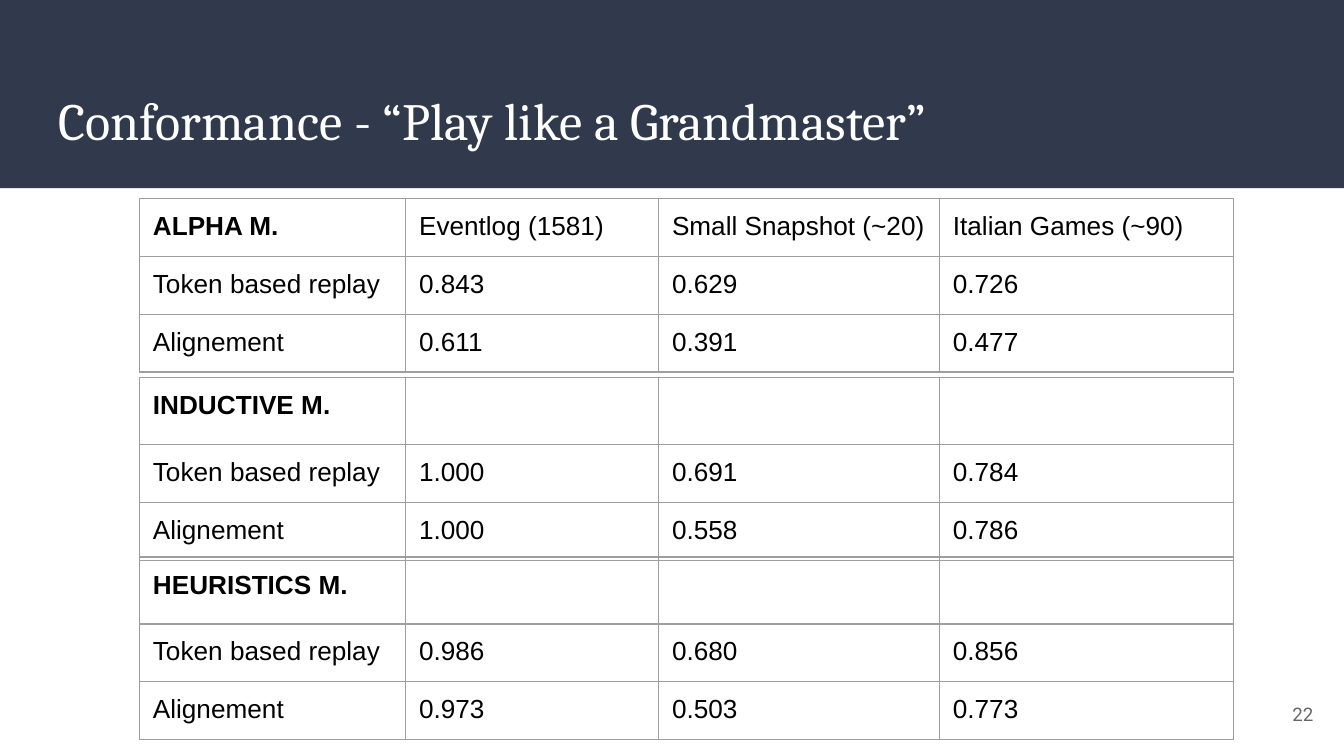
from lxml import etree
from pptx import Presentation
from pptx.dml.color import RGBColor
from pptx.enum.shapes import MSO_SHAPE
from pptx.enum.text import MSO_ANCHOR, PP_ALIGN
from pptx.oxml.ns import qn
from pptx.util import Cm, Pt

RECT = MSO_SHAPE.RECTANGLE
MIDDLE = MSO_ANCHOR.MIDDLE
LEFT, RIGHT = PP_ALIGN.LEFT, PP_ALIGN.RIGHT
TITLE_ONLY = 5

SLIDE_W, SLIDE_H = 25.4, 14.29
INSET = 0.25
COL_WIDTHS = [5.03, 4.78, 5.31, 5.56]
ROW_HEIGHT = 1.07
TABLE_LEFT, TABLE_TOP, TABLE_PITCH = 2.64, 3.75, 3.39

# Algorithm, column headings, token based replay values, alignment values
RESULTS = [
    ("ALPHA M.",
     ["Eventlog (1581)", "Small Snapshot (~20)", "Italian Games (~90)"],
     ["0.843", "0.629", "0.726"], ["0.611", "0.391", "0.477"]),
    ("INDUCTIVE M.", ["", "", ""],
     ["1.000", "0.691", "0.784"], ["1.000", "0.558", "0.786"]),
    ("HEURISTICS M.", ["", "", ""],
     ["0.986", "0.680", "0.856"], ["0.973", "0.503", "0.773"]),
]


def color(hex_string):
    return RGBColor.from_string(hex_string)


def place(sp, left, top, width, height):
    sp.left, sp.top, sp.width, sp.height = map(Cm, (left, top, width, height))


def set_margins(frame):
    """Give a text frame or a table cell the same inset on every side."""
    frame.margin_left = frame.margin_right = Cm(INSET)
    frame.margin_top = frame.margin_bottom = Cm(INSET)


def write(tf, text, font, size, hex_string, bold=False, align=LEFT):
    p = tf.paragraphs[0]
    p.text = text
    p.alignment = align
    for r in p.runs:
        r.font.name, r.font.size, r.font.bold = font, Pt(size), bold
        r.font.color.rgb = color(hex_string)


def add_header(slide, left, top, width, height, text):
    band = slide.shapes.add_shape(RECT, Cm(left), Cm(top), Cm(width), Cm(height))
    band.shadow.inherit = False
    band.fill.solid()
    band.fill.fore_color.rgb = color("31394D")
    band.line.fill.background()
    slide.shapes._spTree.insert(2, band._element)  # behind the title

    title = slide.shapes.title
    place(title, left + 0.86, top + 1.4, width - 1.73, 1.73)
    tf = title.text_frame
    set_margins(tf)
    tf.word_wrap = True
    tf.vertical_anchor = MIDDLE
    write(tf, text, "Cambria", 28, "FFFFFF")


def add_page_number(slide, left, top, width, height, text):
    sp = slide.shapes.add_textbox(Cm(left), Cm(top), Cm(width), Cm(height))
    tf = sp.text_frame
    set_margins(tf)
    tf.word_wrap = True
    tf.vertical_anchor = MIDDLE
    write(tf, text, "Roboto", 10, "666666", align=RIGHT)


def set_borders(cell, hex_string, width):
    tc_pr = cell._tc.get_or_add_tcPr()
    for side in ("a:lnL", "a:lnR", "a:lnT", "a:lnB"):
        ln = etree.SubElement(tc_pr, qn(side), w=str(Pt(width)))
        fill = etree.SubElement(ln, qn("a:solidFill"))
        etree.SubElement(fill, qn("a:srgbClr"), val=hex_string)


def add_result_table(slide, left, top, result):
    name, headings, replay, alignment = result
    rows = [[name, *headings],
            ["Token based replay", *replay],
            ["Alignement", *alignment]]
    table = slide.shapes.add_table(
        len(rows), len(COL_WIDTHS), Cm(left), Cm(top),
        Cm(sum(COL_WIDTHS)), Cm(ROW_HEIGHT * len(rows))).table
    table.first_row = table.horz_banding = False
    for column, width in zip(table.columns, COL_WIDTHS):
        column.width = Cm(width)
    for i, values in enumerate(rows):
        table.rows[i].height = Cm(ROW_HEIGHT)
        for j, value in enumerate(values):
            cell = table.cell(i, j)
            set_margins(cell)
            set_borders(cell, "9E9E9E", 0.75)
            cell.fill.background()
            write(cell.text_frame, value, "Arial", 14, "000000",
                  bold=i == 0 and j == 0)


def main():
    prs = Presentation()
    prs.slide_width, prs.slide_height = Cm(SLIDE_W), Cm(SLIDE_H)
    slide = prs.slides.add_slide(prs.slide_layouts[TITLE_ONLY])
    add_header(slide, 0, 0, SLIDE_W, 3.56,
               "Conformance - “Play like a Grandmaster”")
    add_page_number(slide, 23.55, 12.95, 1.52, 1.09, "22")
    for i, result in enumerate(RESULTS):
        add_result_table(slide, TABLE_LEFT, TABLE_TOP + i * TABLE_PITCH, result)
    prs.save("out.pptx")


if __name__ == "__main__":
    main()
